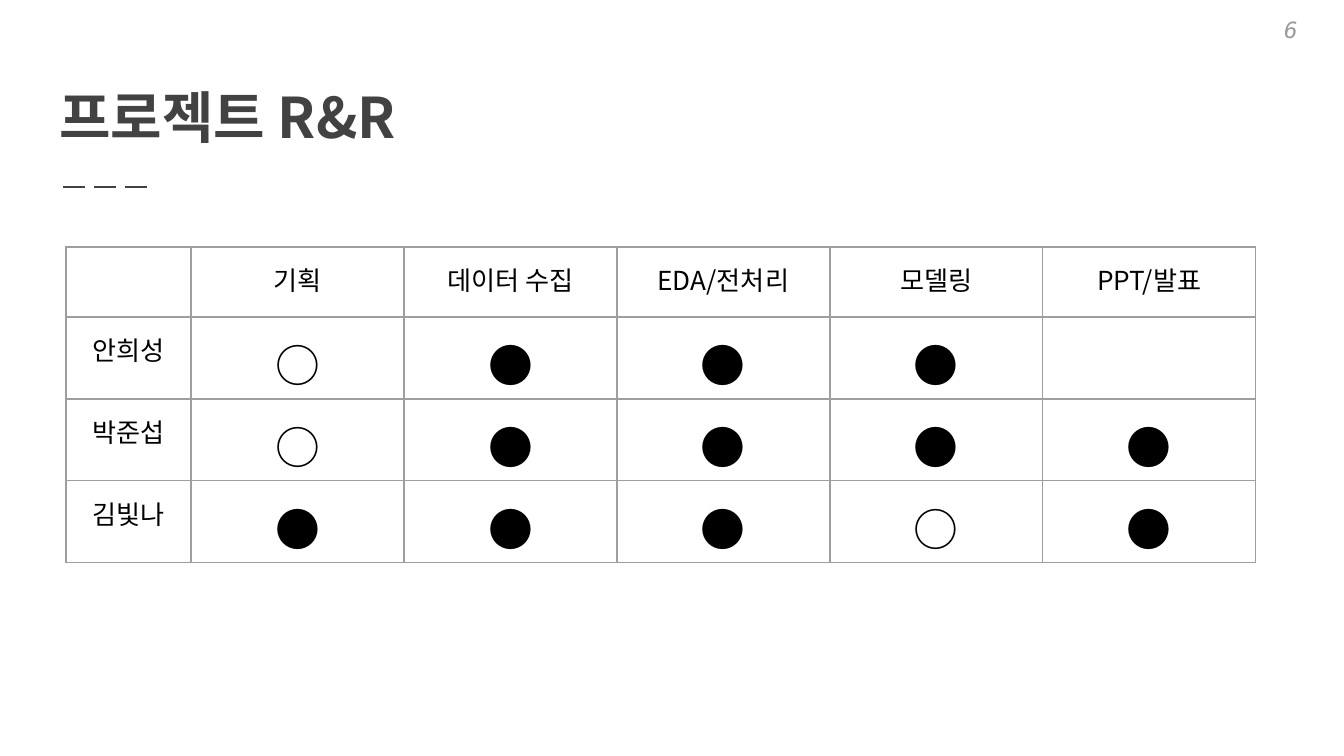
"""Build the project R&R slide: a title, a dashed rule and a role matrix."""
import lxml.etree
import pptx
import pptx.dml.color
import pptx.enum.dml
import pptx.enum.shapes
import pptx.enum.text
import pptx.oxml
import pptx.oxml.ns
import pptx.util

PX = 914400 / 134.4
THEME = {
    "title": "424242", "text": "000000", "border": "9E9E9E", "number": "999999",
    "font": "Noto Sans CJK KR", "number_font": "DejaVu Sans Mono",
    "title_size": 30, "label_size": 14, "mark_size": 24, "number_size": 12,
    "rule_width": 1.5, "border_width": 0.75,
}
ALIGN = pptx.enum.text.PP_ALIGN
ANCHOR = pptx.enum.text.MSO_ANCHOR
ROLES = ["", "기획", "데이터 수집", "EDA/전처리", "모델링", "PPT/발표"]
MEMBERS = [("안희성", "○●●● "), ("박준섭", "○●●●●"), ("김빛나", "●●●○●")]


def px(n):
    return pptx.util.Emu(round(n * PX))


def write(tf, text, size, color=THEME["text"], font=THEME["font"],
          bold=False, italic=False, align=ALIGN.LEFT, anchor=ANCHOR.TOP):
    tf.word_wrap = True
    tf.vertical_anchor = anchor
    tf.margin_left = tf.margin_right = tf.margin_top = tf.margin_bottom = pptx.util.Inches(0.1)
    p = tf.paragraphs[0]
    p.alignment = align
    r = p.add_run()
    r.text = text
    r.font.name = font
    r.font.size = pptx.util.Pt(size)
    r.font.bold = bold
    r.font.italic = italic
    r.font.color.rgb = pptx.dml.color.RGBColor.from_string(color)
    ea = lxml.etree.SubElement(r.font._element, pptx.oxml.ns.qn("a:ea"))
    ea.set("typeface", font)


prs = pptx.Presentation()
prs.slide_width, prs.slide_height = px(1344), px(756)
s = prs.slides.add_slide(prs.slide_layouts[6])

rule = s.shapes.add_connector(pptx.enum.shapes.MSO_CONNECTOR.STRAIGHT,
                              px(63), px(187), px(153), px(187))
rule.line.color.rgb = pptx.dml.color.RGBColor.from_string(THEME["title"])
rule.line.width = pptx.util.Pt(THEME["rule_width"])
rule.line.dash_style = pptx.enum.dml.MSO_LINE.LONG_DASH
lxml.etree.SubElement(rule._element.spPr, pptx.oxml.ns.qn("a:effectLst"))

title = s.shapes.add_textbox(px(46), px(55), px(1253), px(108))
write(title.text_frame, "프로젝트 R&R", THEME["title_size"], color=THEME["title"],
      bold=True, anchor=ANCHOR.BOTTOM)

rows = [ROLES] + [[name, *marks] for name, marks in MEMBERS]
widths = [125] + [213] * 5
heights = [70] + [82] * 3
frame = s.shapes.add_table(len(rows), len(ROLES), px(66), px(247),
                           px(sum(widths)), px(sum(heights)))
table = frame.table
table.first_row = table.horz_banding = False
for column, width in zip(table.columns, widths):
    column.width = px(width)
for row, height in zip(table.rows, heights):
    row.height = px(height)

for i, values in enumerate(rows):
    for j, value in enumerate(values):
        cell = table.cell(i, j)
        cell.fill.background()
        tc_pr = cell._tc.get_or_add_tcPr()
        for k, side in enumerate(("lnL", "lnR", "lnT", "lnB")):
            tc_pr.insert(k, pptx.oxml.parse_xml(
                f'<a:{side} {pptx.oxml.ns.nsdecls("a")} '
                f'w="{pptx.util.Pt(THEME["border_width"])}"><a:solidFill>'
                f'<a:srgbClr val="{THEME["border"]}"/></a:solidFill></a:{side}>'))
        cell.margin_left = cell.margin_right = pptx.util.Inches(0.1)
        cell.margin_top = cell.margin_bottom = pptx.util.Inches(0.1)
        if value.strip():
            size = THEME["mark_size"] if i and j else THEME["label_size"]
            write(cell.text_frame, value, size, align=ALIGN.CENTER)

number = s.shapes.add_textbox(px(1271), px(3), px(69), px(54))
write(number.text_frame, "6", THEME["number_size"], color=THEME["number"],
      font=THEME["number_font"], italic=True)

prs.save("out.pptx")
